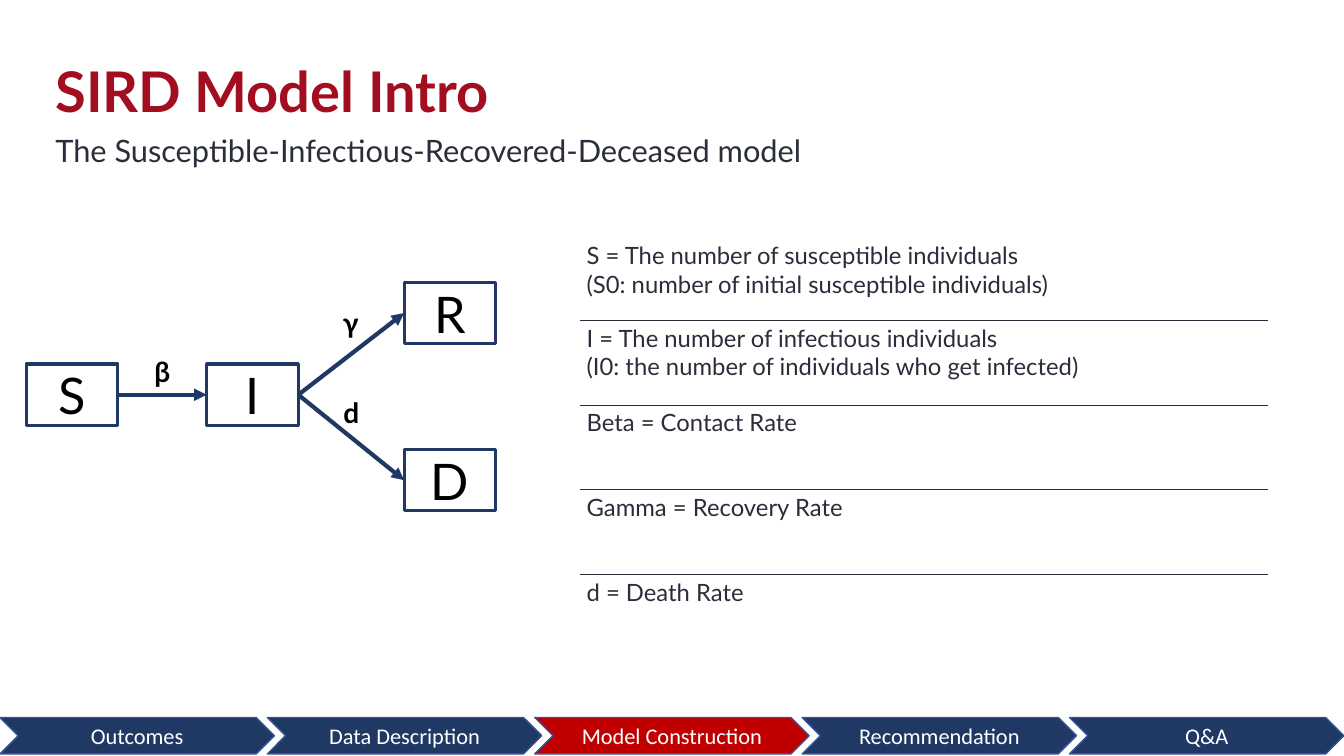
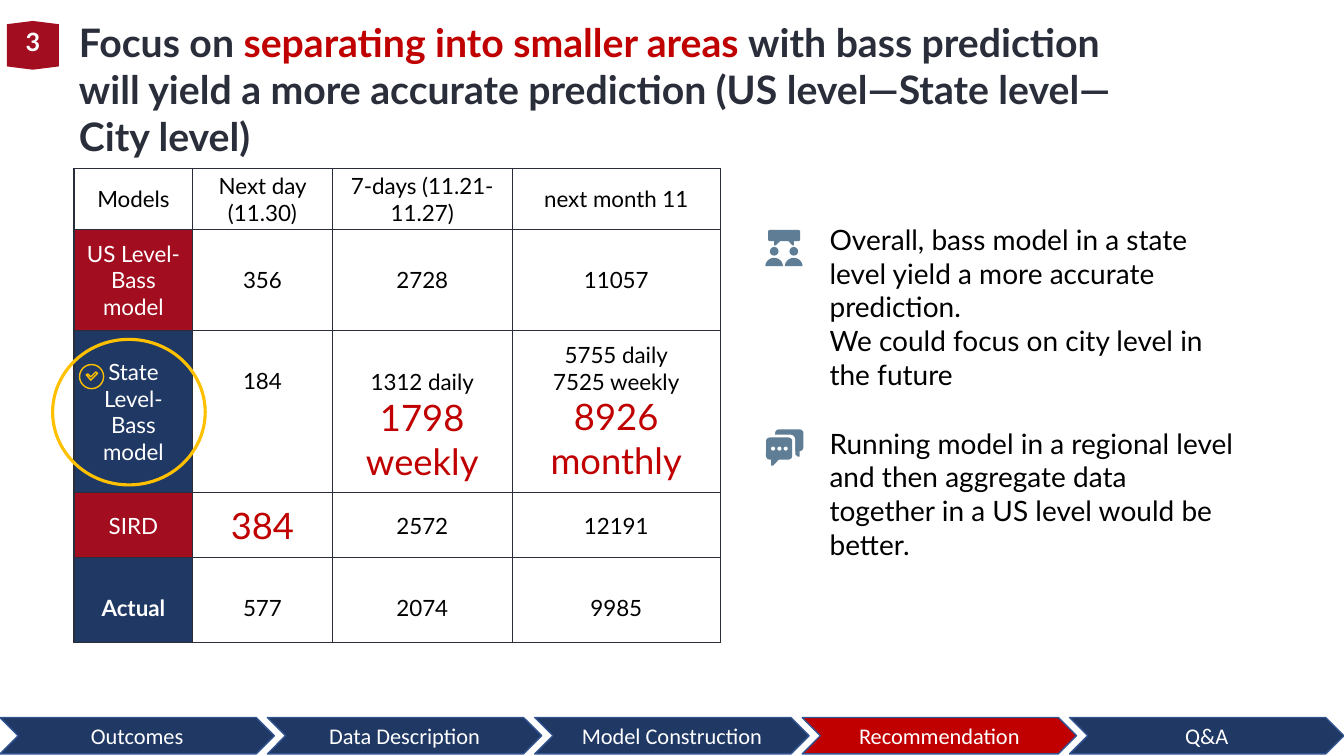
"""Build two slides on the SIRD model and the comparison of predictions."""
import math

import pptx
import pptx.dml.color
import pptx.enum.shapes
import pptx.enum.text
import pptx.oxml.ns
import pptx.util
from lxml import etree

COLORS = {
    "navy": "203864", "edge": "325491", "red": "C00000", "crimson": "A20E20",
    "ink": "2A2E3A", "black": "000000", "white": "FFFFFF", "slate": "5F7D95",
    "gold": "FFC000",
}
FONT = "Lato"
STEPS = ["Outcomes", "Data Description", "Model Construction", "Recommendation", "Q&A"]

DEFINITIONS = [
    ["S = The number of susceptible individuals",
     "(S0: number of initial susceptible individuals)"],
    ["I = The number of infectious individuals",
     "(I0: the number of individuals who get infected)"],
    ["Beta = Contact Rate"],
    ["Gamma = Recovery Rate"],
    ["d = Death Rate"],
]
DEFINITION_HEIGHTS = [59, 60.5, 60.5, 60.5, 59]
STATES = {"S": (18.7, 260), "I": (147.6, 260), "R": (288.7, 201.6), "D": (288.7, 321)}
FLOWS = [("S", "I"), ("I", "R"), ("I", "D")]
RATES = [("β", 101, 250), ("d", 236, 278.6), ("γ", 235.5, 214.6)]

HEADLINE = [
    "Focus on ",
    ("separating into smaller areas ", {"color": "red"}),
    "with bass prediction will yield a more accurate prediction "
    "(US level—State level—City level)",
]
BEST = {"size": 26, "color": "red"}
RESULTS = [
    [["Models"], ["Next day (11.30)"], ["7-days (11.21-11.27)"], ["next month 11"]],
    [["US Level-", "Bass model"], ["356"], ["2728"], ["11057"]],
    [["State Level-", "Bass model"], ["184"],
     ["1312 daily", [("1798 weekly", BEST)]],
     ["5755 daily", "7525 weekly", [("8926 monthly", BEST)]]],
    [["SIRD"], [[("384", BEST)]], ["2572"], ["12191"]],
    [[[("Actual", {"bold": True})]], ["577"], ["2074"], ["9985"]],
]
RESULT_WIDTHS = [85, 99.4, 128.9, 148.3]
RESULT_HEIGHTS = [43.6, 72.2, 115.9, 46.4, 60.8]
ROW_FILLS = ["white", "crimson", "navy", "crimson", "navy"]
LOWERED = {"anchor": "TOP", "insets": (7.2, 26.4, 7.2, 7.2)}
CELL_LAYOUTS = {(2, 1): LOWERED, (2, 2): {"anchor": "BOTTOM"},
                **{(4, column): LOWERED for column in range(4)}}

NOTES = [
    (155.5, 104, ["Overall, bass model in a state level yield a more accurate prediction.",
                  "We could focus on city level in the future"]),
    (301, 80, ["Running model in a regional level and then aggregate data together "
               "in a US level would be better."]),
]
BUBBLES = [
    ("ROUNDED_RECTANGLE", "slate", 548.6, 164.2, 23, 8),
    ("ROUNDED_RECTANGLE", "slate", 553.7, 306.7, 20.2, 15.5),
    ("ROUNDED_RECTANGLE", "white", 545.2, 310.5, 22.8, 19.8),
    ("ROUNDED_RECTANGLE", "slate", 547.2, 312.5, 18.7, 15.8),
    *[("OVAL", "white", left, 319, 2.9, 2.9) for left in (550.8, 555.3, 559.8)],
]
TAILS = [
    [(553, 172), (553, 175.2), (554.3, 175.2), (557.3, 172)],
    [(563, 172), (566, 175.2), (567, 175.2), (567, 172)],
    [(550.8, 328), (550.8, 332.6), (552.2, 332.6), (556.6, 328)],
    [(568.1, 322), (568.1, 324.7), (570, 326.2), (571.2, 326.2), (571.2, 321.5)],
]
PERSON_CENTERS = [553, 567]
BADGE = [(5, 17.3), (23.5, 15), (42, 17.3), (42, 47.5), (23.5, 49.8), (5, 47.5)]
CHECK = [(61.6, 267.7), (62.8, 267.2), (64.9, 269.3), (68.5, 265.7),
         (69.7, 266.7), (64.9, 271.6)]


def rgb(name):
    """Return the colour of a name."""
    return pptx.dml.color.RGBColor.from_string(COLORS[name])


def points(*values):
    """Return lengths given in points."""
    return [pptx.util.Pt(value) for value in values]


def write(holder, paragraphs, size=16, color="black", bold=False, font=FONT,
          align="LEFT", anchor="TOP", insets=(7.2, 3.6, 7.2, 3.6), leading=None):
    """Fill a text frame or a table cell with formatted paragraphs."""
    (holder.margin_left, holder.margin_top,
     holder.margin_right, holder.margin_bottom) = points(*insets)
    holder.vertical_anchor = getattr(pptx.enum.text.MSO_ANCHOR, anchor)
    frame = getattr(holder, "text_frame", holder)
    for index, spans in enumerate(paragraphs):
        para = frame.add_paragraph() if index else frame.paragraphs[0]
        para.alignment = getattr(pptx.enum.text.PP_ALIGN, align)
        if leading:
            para.line_spacing = pptx.util.Pt(leading)
        for part in [spans] if isinstance(spans, str) else spans:
            words, changes = (part, {}) if isinstance(part, str) else part
            look = {"size": size, "color": color, "bold": bold, **changes}
            span = para.add_run()
            span.text = words
            span.font.name = font
            span.font.size = pptx.util.Pt(look["size"])
            span.font.bold = look["bold"]
            span.font.color.rgb = rgb(look["color"])


def add_text(page, place, paragraphs, **look):
    """Add a wrapping text box."""
    box = page.shapes.add_textbox(*points(*place))
    box.text_frame.word_wrap = True
    write(box.text_frame, paragraphs, **look)


def set_title(page, place, paragraphs, **look):
    """Move the title placeholder and write in it."""
    title = page.shapes.title
    title.left, title.top, title.width, title.height = points(*place)
    title.text_frame.auto_size = pptx.enum.text.MSO_AUTO_SIZE.NONE
    write(title.text_frame, paragraphs, bold=True, insets=(0, 0, 0, 0), **look)


def paint(shape, fill=None, line=None, weight=1):
    """Set the fill and the outline of a shape and drop its shadow."""
    shape.shadow.inherit = False
    if fill:
        shape.fill.solid()
        shape.fill.fore_color.rgb = rgb(fill)
    else:
        shape.fill.background()
    if line:
        shape.line.color.rgb = rgb(line)
        shape.line.width = pptx.util.Pt(weight)
    else:
        shape.line.fill.background()
    return shape


def add_preset(page, kind, place, **look):
    """Add a painted preset shape."""
    preset = getattr(pptx.enum.shapes.MSO_SHAPE, kind)
    return paint(page.shapes.add_shape(preset, *points(*place)), **look)


def add_outline(page, corners, **look):
    """Add a painted closed polygon."""
    start, *others = [points(*corner) for corner in corners]
    builder = page.shapes.build_freeform(*start)
    builder.add_line_segments(others, close=True)
    return paint(builder.convert_to_shape(), **look)


def add_arrow(page, source, target):
    """Join the right side of one box to the left side of another."""
    straight = pptx.enum.shapes.MSO_CONNECTOR.STRAIGHT
    arrow = page.shapes.add_connector(straight, 0, 0, 0, 0)
    arrow.begin_connect(source, 3)
    arrow.end_connect(target, 1)
    arrow.line.color.rgb = rgb("navy")
    arrow.line.width = pptx.util.Pt(3)
    qualify = pptx.oxml.ns.qn
    etree.SubElement(arrow.line._get_or_add_ln(), qualify("a:tailEnd"), type="triangle")
    etree.SubElement(arrow._element.spPr, qualify("a:effectLst"))


def set_borders(cell, **weights):
    """Draw the named sides of a cell and hide the others."""
    qualify = pptx.oxml.ns.qn
    properties = cell._tc.get_or_add_tcPr()
    for index, side in enumerate("LRTB"):
        weight = weights.get(side, 0)
        line = etree.Element(qualify(f"a:ln{side}"), w=str(pptx.util.Pt(weight)))
        if weight:
            fill = etree.SubElement(line, qualify("a:solidFill"))
            etree.SubElement(fill, qualify("a:srgbClr"), val=COLORS["ink"])
        else:
            etree.SubElement(line, qualify("a:noFill"))
        properties.insert(index, line)


def add_grid(page, left, top, widths, heights):
    """Add a plain table with the given column widths and row heights."""
    table = page.shapes.add_table(len(heights), len(widths), *points(
        left, top, sum(widths), sum(heights))).table
    table.first_row = table.horz_banding = False
    for column, width in zip(table.columns, widths):
        column.width = pptx.util.Pt(width)
    for row, height in zip(table.rows, heights):
        row.height = pptx.util.Pt(height)
    return table


def add_steps(page, current):
    """Add the progress band with the current step in red."""
    for index, step in enumerate(STEPS):
        chevron = add_preset(page, "CHEVRON", (191 * index, 512.5, 196, 26),
                             fill="red" if step == current else "navy", line="edge")
        write(chevron.text_frame, [step], color="white", font="Calibri",
              align="CENTER", anchor="MIDDLE")


def build_intro(page):
    """Build the slide that introduces the model."""
    set_title(page, (39.6, 20, 587, 62), ["SIRD Model Intro"],
              size=40, color="crimson", leading=68)
    add_text(page, (39.6, 88.6, 587, 30),
             ["The Susceptible-Infectious-Recovered-Deceased model"],
             size=22, color="ink", insets=(0, 0, 0, 0), leading=31.7)
    table = add_grid(page, 414, 170, [492], DEFINITION_HEIGHTS)
    last = len(DEFINITIONS) - 1
    for index, lines in enumerate(DEFINITIONS):
        cell = table.cell(index, 0)
        cell.fill.background()
        write(cell, lines, size=17, color="ink", insets=(5, 2.2, 5, 2.2))
        set_borders(cell, T=0.75 if index else 0, B=0.75 if index < last else 0)
    boxes = {}
    for name, (left, top) in STATES.items():
        boxes[name] = add_preset(page, "RECTANGLE", (left, top, 65.5, 44),
                                 line="navy", weight=2.25)
        write(boxes[name].text_frame, [name], size=36, align="CENTER", anchor="MIDDLE")
    for source, target in FLOWS:
        add_arrow(page, boxes[source], boxes[target])
    for rate, left, top in RATES:
        add_text(page, (left, top, 30, 32), [rate], size=20, bold=True, align="CENTER")


def add_results(page):
    """Add the table that compares the models."""
    table = add_grid(page, 52.8, 120.4, RESULT_WIDTHS, RESULT_HEIGHTS)
    for row, cells in enumerate(RESULTS):
        for column, paragraphs in enumerate(cells):
            cell = table.cell(row, column)
            cell.fill.solid()
            cell.fill.fore_color.rgb = rgb("white" if column else ROW_FILLS[row])
            layout = {"anchor": "MIDDLE",
                      "insets": (7.2,) * 4 if row else (5, 2.2, 5, 2.2),
                      **CELL_LAYOUTS.get((row, column), {})}
            write(cell, paragraphs, align="CENTER",
                  color="white" if row and not column else "black", **layout)
            set_borders(cell, L=0.75 if column else 1.5, R=0.75,
                        T=0.75 if row else 1.5, B=0.75)


def add_icons(page):
    """Add the talking people and the speech bubbles."""
    for kind, fill, *place in BUBBLES:
        add_preset(page, kind, place, fill=fill)
    for tail in TAILS:
        add_outline(page, tail, fill="slate")
    angles = [math.pi * step / 12 for step in range(13)]
    for center in PERSON_CENTERS:
        add_preset(page, "OVAL", (center - 3.1, 176.4, 6.2, 6.2), fill="slate")
        add_outline(page, [(center + 6.3 * math.cos(angle), 190.2 - 6 * math.sin(angle))
                           for angle in angles], fill="slate")


def build_comparison(page):
    """Build the slide that compares the predictions."""
    set_title(page, (56.4, 13, 769, 68), [HEADLINE], size=28, color="ink")
    badge = add_outline(page, BADGE, fill="crimson")
    write(badge.text_frame, ["3"], size=18, color="white", bold=True, align="CENTER")
    add_results(page)
    for top, height, paragraphs in NOTES:
        add_text(page, (585.5, top, 304.5, height), paragraphs, size=20)
    add_icons(page)
    add_preset(page, "OVAL", (56.8, 260.4, 17.2, 17.2), line="gold")
    add_outline(page, CHECK, line="gold")
    add_preset(page, "OVAL", (37.6, 242.4, 109, 104), line="gold", weight=2.25)


def main():
    """Build and save the deck."""
    deck = pptx.Presentation()
    deck.slide_width, deck.slide_height = points(960, 540)
    for build, current in [(build_intro, "Model Construction"),
                           (build_comparison, "Recommendation")]:
        page = deck.slides.add_slide(deck.slide_layouts[5])
        build(page)
        add_steps(page, current)
    deck.save("out.pptx")


if __name__ == "__main__":
    main()
